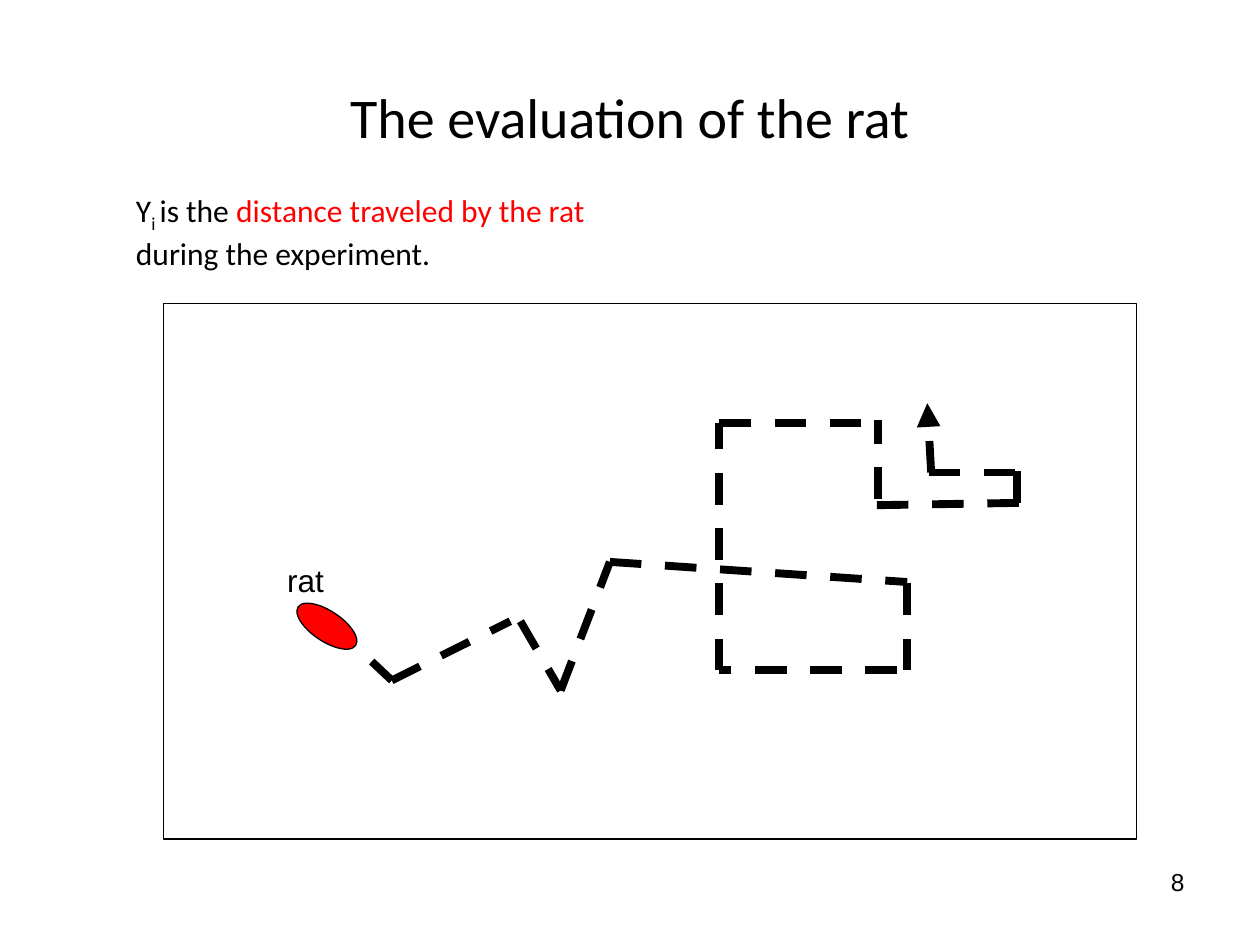
from dataclasses import dataclass
from typing import NamedTuple

from lxml.etree import SubElement
from pptx import Presentation
from pptx.dml.color import RGBColor
from pptx.enum.dml import MSO_LINE
from pptx.enum.shapes import MSO_CONNECTOR, MSO_SHAPE
from pptx.enum.text import MSO_ANCHOR, PP_ALIGN
from pptx.oxml.ns import qn
from pptx.util import Pt


@dataclass(frozen=True)
class Theme:
    ink: RGBColor = RGBColor(0, 0, 0)
    accent: RGBColor = RGBColor(255, 0, 0)
    heading_font: str = "Calibri"
    label_font: str = "Arial"
    title_size: float = 32
    text_size: float = 18
    number_size: float = 14
    thin: float = 0.75
    thick: float = 4.5


class Box(NamedTuple):
    left: float
    top: float
    width: float
    height: float

    def lengths(self) -> list[Pt]:
        return [Pt(value) for value in self]


class Step(NamedTuple):
    """One straight stretch of the rat's walk."""
    x1: float
    y1: float
    x2: float
    y2: float
    arrow: bool = False


class Words(NamedTuple):
    text: str
    color: RGBColor
    subscript: bool = False


THEME = Theme()

WALK = [
    Step(518.4, 383, 518.4, 321.1),
    Step(512.6, 383, 411.1, 383),
    Step(411.1, 383, 411.1, 241.9),
    Step(411.1, 241.9, 496.1, 241.9),
    Step(501.8, 285.1, 501.8, 239.8),
    Step(501.1, 288.7, 586.8, 287.3),
    Step(581, 287.3, 581, 264.2),
    Step(580.3, 270, 523.4, 270),
    Step(532.1, 270, 529.9, 230.4, arrow=True),
    Step(223.9, 388.8, 291.6, 355),
    Step(297.4, 355, 320.4, 394.6),
    Step(320.4, 394.6, 348.5, 321.1),
    Step(348.5, 321.1, 518.4, 332.6),
    Step(212.4, 378, 223.9, 388.8),
]

DEFINITION = [
    Words("Y", THEME.ink),
    Words("i ", THEME.ink, subscript=True),
    Words("is the ", THEME.ink),
    Words("distance traveled by the rat ", THEME.accent),
    Words("during the experiment.", THEME.ink),
]


def add_words(paragraph, words: Words, font_name: str, size: float) -> None:
    run = paragraph.add_run()
    run.text = words.text
    run.font.name = font_name
    run.font.size = Pt(size)
    run.font.color.rgb = words.color
    if words.subscript:
        run.font._element.set("baseline", "-25000")


def add_text(slide, box: Box, phrases: list[Words], font_name: str, size: float,
             align: PP_ALIGN = PP_ALIGN.LEFT, space_before: float = 0) -> None:
    frame = slide.shapes.add_textbox(*box.lengths()).text_frame
    frame.word_wrap = True
    paragraph = frame.paragraphs[0]
    paragraph.alignment = align
    paragraph.space_before = Pt(space_before)
    for words in phrases:
        add_words(paragraph, words, font_name, size)


def add_title(slide, box: Box, text: str) -> None:
    title = slide.shapes.title
    title.left, title.top, title.width, title.height = box.lengths()
    title.text_frame.vertical_anchor = MSO_ANCHOR.MIDDLE
    paragraph = title.text_frame.paragraphs[0]
    paragraph.alignment = PP_ALIGN.CENTER
    add_words(paragraph, Words(text, THEME.ink), THEME.heading_font, THEME.title_size)


def add_step(slide, step: Step) -> None:
    ends = [Pt(value) for value in step[:4]]
    connector = slide.shapes.add_connector(MSO_CONNECTOR.STRAIGHT, *ends)
    line = connector.line
    line.color.rgb = THEME.ink
    line.width = Pt(THEME.thick)
    line.dash_style = MSO_LINE.DASH
    properties = connector._element.spPr
    if step.arrow:
        SubElement(properties.find(qn("a:ln")), qn("a:tailEnd"), type="triangle")
    SubElement(properties, qn("a:effectLst"))


def add_outlined(slide, kind: MSO_SHAPE, box: Box, fill: RGBColor | None = None,
                 rotation: float = 0) -> None:
    shape = slide.shapes.add_shape(kind, *box.lengths())
    shape.shadow.inherit = False
    shape.rotation = rotation
    shape.line.color.rgb = THEME.ink
    shape.line.width = Pt(THEME.thin)
    if fill is None:
        shape.fill.background()
    else:
        shape.fill.solid()
        shape.fill.fore_color.rgb = fill


def main() -> None:
    deck = Presentation()
    deck.slide_width, deck.slide_height = Pt(720), Pt(540)
    slide = deck.slides.add_slide(deck.slide_layouts[5])

    add_title(slide, Box(36, 21.6, 648, 90), "The evaluation of the rat")
    for step in WALK:
        add_step(slide, step)
    add_text(slide, Box(70.6, 105.8, 294.5, 53.3), DEFINITION,
             THEME.heading_font, THEME.text_size, space_before=11.2)
    add_outlined(slide, MSO_SHAPE.OVAL, Box(167, 349.2, 39.6, 17.3),
                 THEME.accent, rotation=33.8)
    add_outlined(slide, MSO_SHAPE.RECTANGLE, Box(93.6, 173.5, 555.8, 306))
    add_text(slide, Box(516.2, 491.8, 167.8, 37.4), [Words("8", THEME.ink)],
             THEME.label_font, THEME.number_size, PP_ALIGN.RIGHT)
    add_text(slide, Box(157, 316.8, 42.5, 28.8), [Words("rat", THEME.ink)],
             THEME.label_font, THEME.text_size)

    deck.save("out.pptx")


if __name__ == "__main__":
    main()
